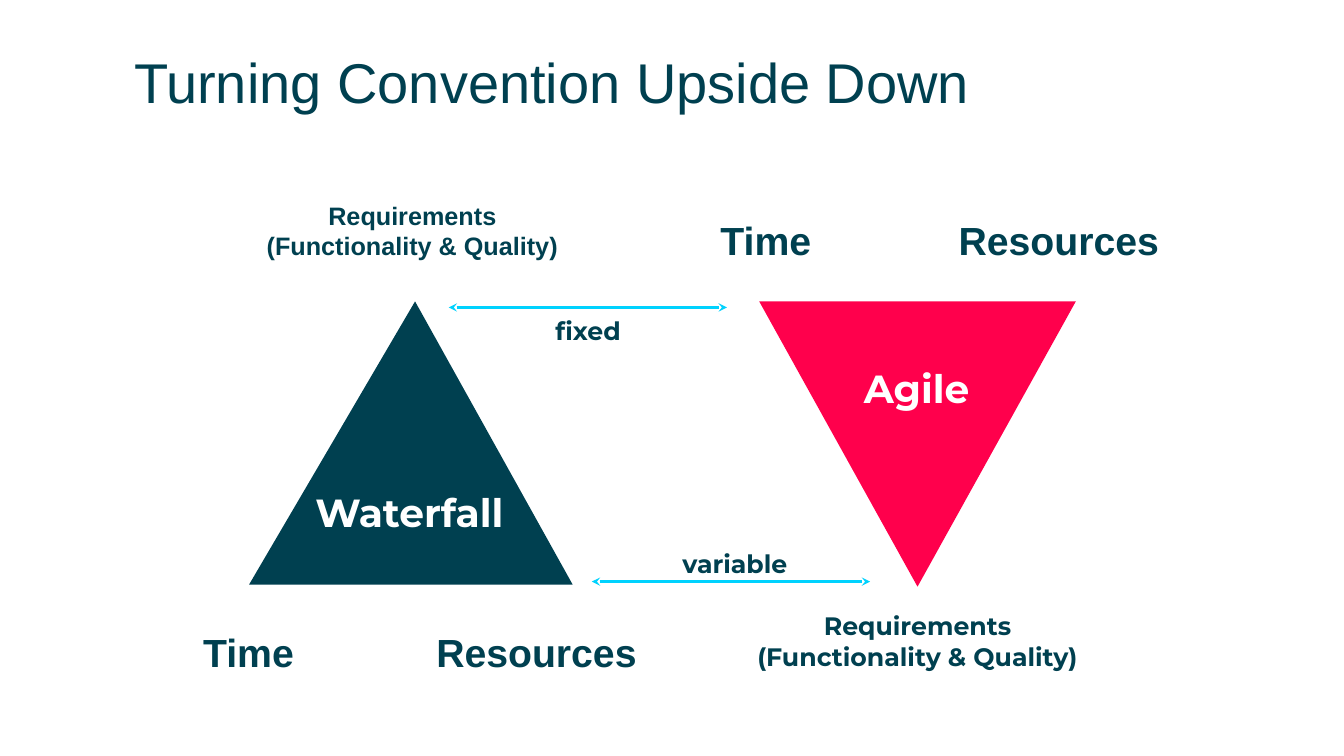
from lxml import etree
from pptx import Presentation
from pptx.dml.color import RGBColor
from pptx.enum.shapes import MSO_CONNECTOR, MSO_SHAPE
from pptx.enum.text import PP_ALIGN
from pptx.oxml.ns import qn
from pptx.util import Inches, Pt

TRIANGLE = MSO_SHAPE.ISOSCELES_TRIANGLE
RECTANGLE = MSO_SHAPE.RECTANGLE
STRAIGHT = MSO_CONNECTOR.STRAIGHT
LEFT, CENTER = PP_ALIGN.LEFT, PP_ALIGN.CENTER

COLORS = {"teal": "004050", "pink": "FF004C", "cyan": "00D2FE", "white": "FFFFFF"}
TITLE = {"name": "Arial", "size": Pt(40), "bold": False}
CORNER = {"name": "Arial", "size": Pt(28), "bold": True}
METHOD = {"name": "Montserrat", "size": Pt(28), "bold": True}
NOTE = {"name": "Montserrat", "size": Pt(18), "bold": True}
ARIAL_NOTE = {**NOTE, "name": "Arial"}

REQUIREMENTS = ["Requirements", "(Functionality & Quality)"]
REQUIREMENTS_SIZE = (3.44, 0.71)
LABEL_HEIGHT = 0.57


def rgb(name):
    return RGBColor.from_string(COLORS[name])


def write(shape, lines, font, color="teal", align=CENTER, wrap=False):
    frame = shape.text_frame
    frame.word_wrap = wrap
    for index, line in enumerate(lines):
        paragraph = frame.paragraphs[0] if index == 0 else frame.add_paragraph()
        paragraph.alignment = align
        run = paragraph.add_run()
        run.text = line
        for attribute, value in font.items():
            setattr(run.font, attribute, value)
        run.font.color.rgb = rgb(color)


def add_text(shapes, box, lines, font, **options):
    text_box = shapes.add_textbox(*map(Inches, box))
    write(text_box, lines, font, **options)
    return text_box


def add_filled(shapes, kind, box, color):
    shape = shapes.add_shape(kind, *map(Inches, box))
    shape.shadow.inherit = False
    shape.fill.solid()
    shape.fill.fore_color.rgb = rgb(color)
    shape.line.fill.background()
    return shape


def add_title(slide, box, text):
    title = add_text(slide.shapes, box, [text], TITLE, align=LEFT, wrap=True)
    frame = title.text_frame
    for side in ("left", "top", "right", "bottom"):
        setattr(frame, f"margin_{side}", 0)
    frame.paragraphs[0].line_spacing = 1.1


def add_waterfall(slide, box):
    """Upright triangle with requirements above and the other constraints below."""
    left, top, width, height = box
    shapes = slide.shapes
    triangle = add_filled(shapes, TRIANGLE, box, "teal")
    triangle.adjustments[0] = 0.513
    add_text(shapes, (left - 0.1, top - 1.05, *REQUIREMENTS_SIZE),
             REQUIREMENTS, ARIAL_NOTE, wrap=True)
    below = top + height + 0.38
    add_text(shapes, (left - 0.56, below, 1.11, LABEL_HEIGHT), ["Time"], CORNER)
    add_text(shapes, (left + 1.74, below, 2.22, LABEL_HEIGHT), ["Resources"], CORNER)
    add_text(shapes, (left + 0.56, top + 1.81, 2.12, LABEL_HEIGHT),
             ["Waterfall"], METHOD, color="white", align=LEFT)


def add_agile(slide, box):
    """Inverted triangle with requirements below and the other constraints above."""
    left, top, width, height = box
    shapes = slide.shapes
    group = shapes.add_group_shape().shapes
    add_filled(group, TRIANGLE, box, "pink").rotation = 180
    name = add_filled(group, RECTANGLE,
                      (left + 0.94, top + 0.57, 1.26, LABEL_HEIGHT), "pink")
    write(name, ["Agile"], METHOD, color="white", align=LEFT)
    above = top - 0.89
    add_text(shapes, (left - 0.49, above, 1.11, LABEL_HEIGHT), ["Time"], CORNER)
    add_text(shapes, (left + 1.86, above, 2.22, LABEL_HEIGHT), ["Resources"], CORNER)
    add_text(shapes, (left - 0.15, top + height + 0.19, *REQUIREMENTS_SIZE),
             REQUIREMENTS, NOTE, wrap=True)


def add_link(slide, box, label, label_offset, label_width):
    """Two-headed arrow along the top of the box, with a label offset from its start."""
    left, top, width, height = box
    group = slide.shapes.add_group_shape().shapes
    offset_x, offset_y = label_offset
    add_text(group, (left + offset_x, top + offset_y, label_width, height),
             [label], NOTE, align=LEFT)
    arrow = group.add_connector(
        STRAIGHT, *map(Inches, (left, top, left + width, top)))
    arrow.line.color.rgb = rgb("cyan")
    arrow.line.width = Pt(2)
    line = arrow.line._get_or_add_ln()
    for end in ("a:headEnd", "a:tailEnd"):
        etree.SubElement(line, qn(end), type="stealth")
    etree.SubElement(arrow._element.spPr, qn("a:effectLst"))


def main():
    presentation = Presentation()
    presentation.slide_width = Inches(13.33)
    presentation.slide_height = Inches(7.5)
    slide = presentation.slides.add_slide(presentation.slide_layouts[6])
    add_title(slide, (1.33, 0.41, 11.59, 0.57), "Turning Convention Upside Down")
    add_waterfall(slide, (2.47, 2.99, 3.21, 2.81))
    add_agile(slide, (7.53, 2.99, 3.14, 2.83))
    add_link(slide, (5.87, 5.77, 2.76, 0.4), "variable", (0.8, -0.38), 1.26)
    add_link(slide, (4.45, 3.05, 2.76, 0.4), "fixed", (0.96, 0.03), 0.86)
    presentation.save("out.pptx")


if __name__ == "__main__":
    main()
